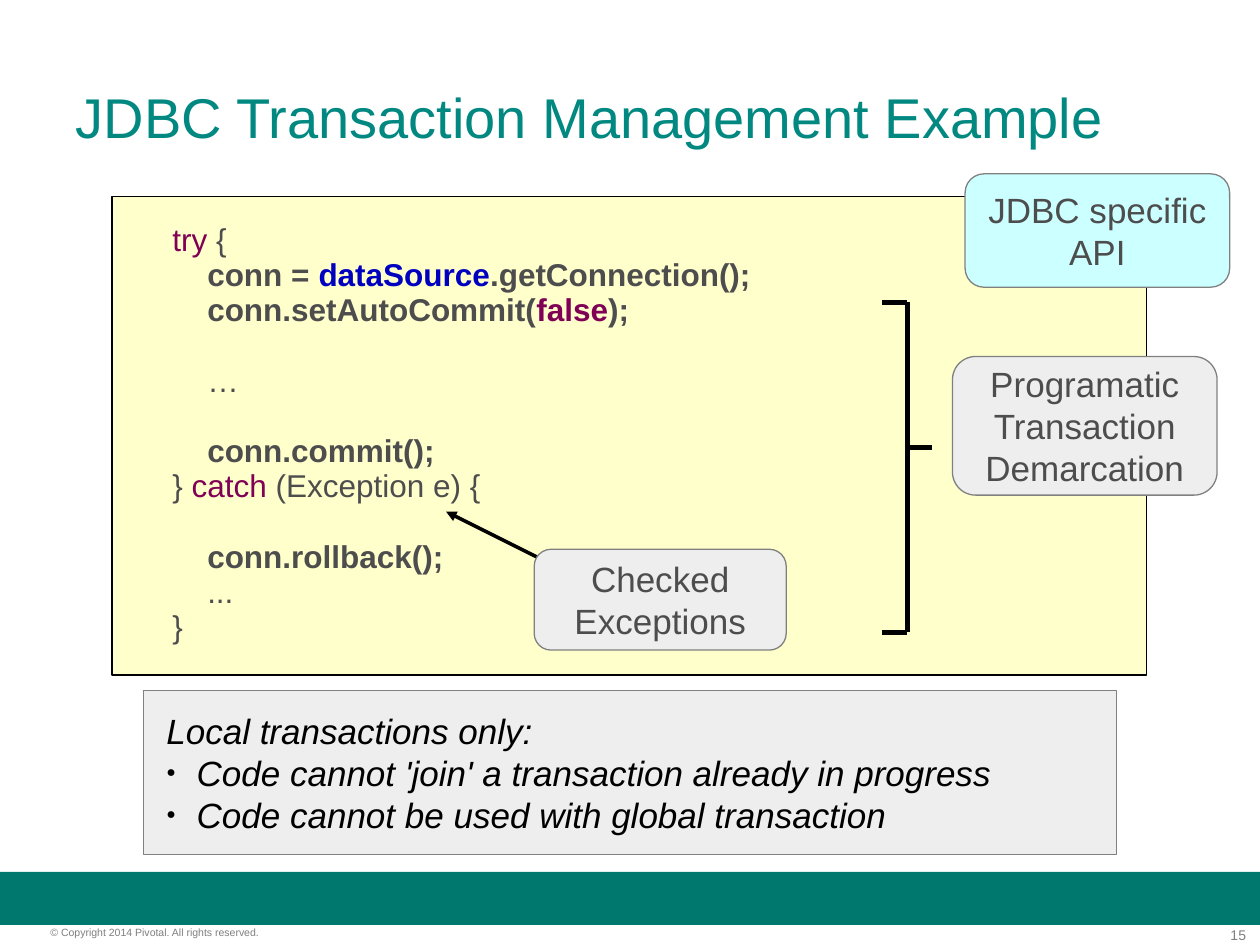
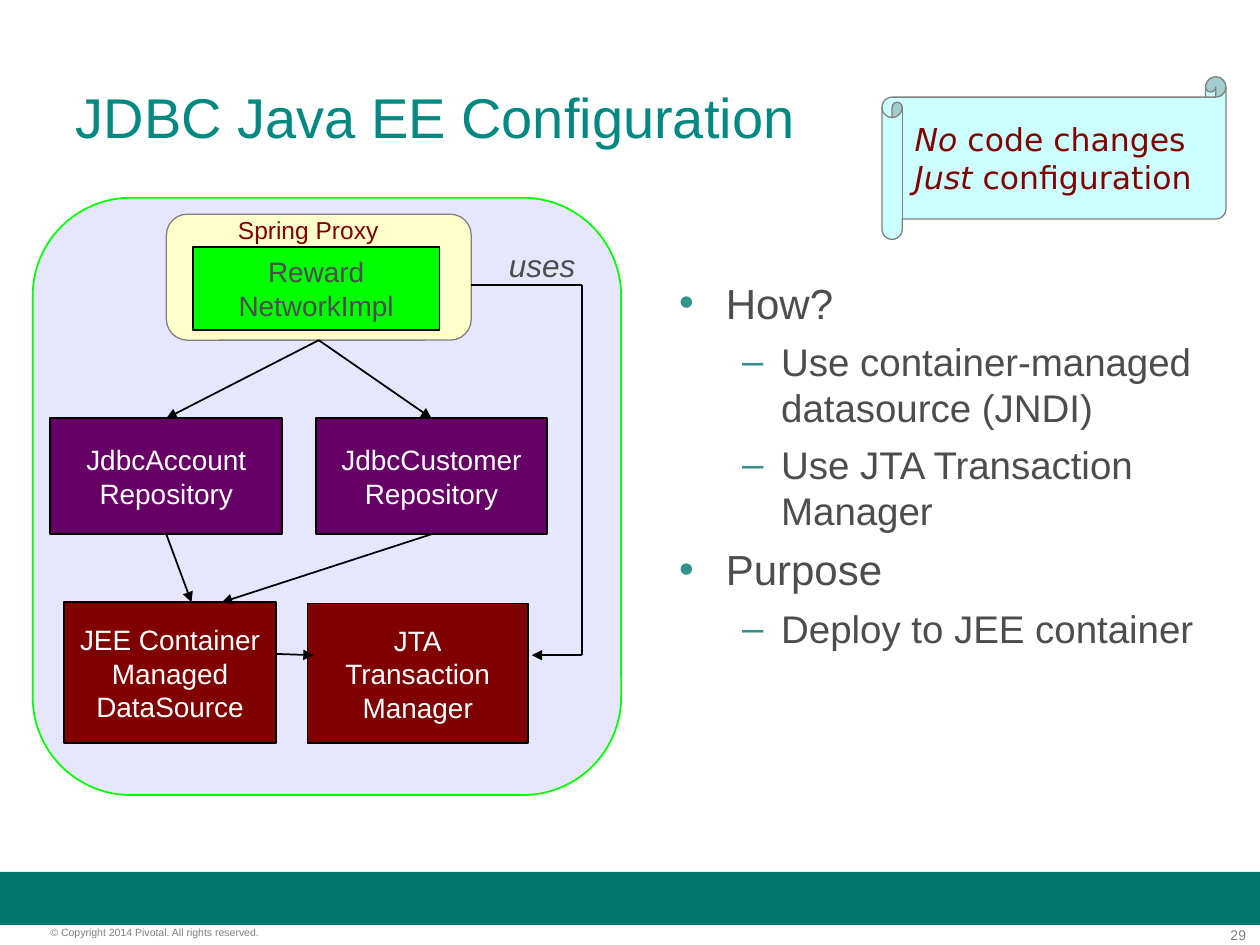
from dataclasses import dataclass, replace

from lxml.etree import SubElement
from pptx import Presentation
from pptx.dml.color import RGBColor
from pptx.enum.shapes import MSO_CONNECTOR, MSO_SHAPE
from pptx.enum.text import MSO_ANCHOR, MSO_AUTO_SIZE, PP_ALIGN
from pptx.oxml.ns import qn
from pptx.util import Emu, Pt

EMU_PER_PX = 9144
TITLE_AND_BODY, TITLE_ONLY = 1, 5
TOP, BOTTOM = 0, 2


@dataclass(frozen=True)
class Theme:
    font: str = "Arial"
    scroll_font: str = "DejaVu Sans"
    title: str = "008881"
    band: str = "00786E"
    bullet: str = "33928A"
    text: str = "4D4D4D"
    muted: str = "7F7F7F"
    black: str = "000000"
    white: str = "FFFFFF"
    outline: str = "808080"
    keyword: str = "7F0055"
    field: str = "0000C0"
    cream: str = "FFFFCC"
    cyan: str = "CCFFFF"
    grey: str = "EEEEEE"
    lavender: str = "E6E6FF"
    green: str = "00FF00"
    purple: str = "660066"
    maroon: str = "800000"
    title_size: int = 32
    body_size: int = 24
    sub_size: int = 22
    callout_size: int = 20
    code_size: int = 18
    box_size: int = 16
    label_size: int = 14
    number_size: int = 8
    copyright_size: int = 6


THEME = Theme()


@dataclass(frozen=True)
class Style:
    size: int
    color: str = THEME.text
    font: str = THEME.font
    bold: bool = False
    italic: bool = False


CALLOUT = Style(THEME.callout_size)
CODE = Style(THEME.code_size)
KEYWORD = replace(CODE, color=THEME.keyword)
STRONG = replace(CODE, bold=True)
NODE = Style(THEME.box_size, THEME.white)


def px(value):
    return Emu(value * EMU_PER_PX)


def place(box, left, top, width, height):
    box.left, box.top, box.width, box.height = map(px, (left, top, width, height))


def add_spans(para, spans):
    for text, style in spans:
        span = para.add_run()
        span.text = text
        span.font.size = Pt(style.size)
        span.font.name = style.font
        span.font.bold = style.bold
        span.font.italic = style.italic
        span.font.color.rgb = RGBColor.from_string(style.color)


def write(box, lines, align=PP_ALIGN.LEFT, anchor=MSO_ANCHOR.MIDDLE, wrap=True, insets=(10, 5, 10, 5)):
    frame = box.text_frame
    frame.auto_size = MSO_AUTO_SIZE.NONE
    frame.word_wrap = wrap
    frame.vertical_anchor = anchor
    frame.margin_left, frame.margin_top, frame.margin_right, frame.margin_bottom = map(px, insets)
    paras = []
    for index, spans in enumerate(lines):
        para = frame.add_paragraph() if index else frame.paragraphs[0]
        para.alignment = align
        para.space_before = Pt(0)
        add_spans(para, spans)
        paras.append(para)
    return paras


def add_bullet(para, mark, color, left, hanging, percent=100):
    props = para._p.get_or_add_pPr()
    props.set("marL", str(px(left)))
    props.set("indent", str(-px(hanging)))
    SubElement(SubElement(props, qn("a:buClr")), qn("a:srgbClr")).set("val", color)
    SubElement(props, qn("a:buSzPct")).set("val", str(percent * 1000))
    SubElement(props, qn("a:buFont")).set("typeface", THEME.font)
    SubElement(props, qn("a:buChar")).set("char", mark)


def add_box(page, kind, bounds, fill, line=THEME.black, weight=1):
    box = page.shapes.add_shape(kind, *map(px, bounds))
    box.shadow.inherit = False
    box.fill.solid()
    box.fill.fore_color.rgb = RGBColor.from_string(fill)
    if line:
        box.line.color.rgb = RGBColor.from_string(line)
        box.line.width = Pt(weight)
    else:
        box.line.fill.background()
    return box


def add_callout(page, bounds, fill, lines, wrap=False):
    box = add_box(page, MSO_SHAPE.ROUNDED_RECTANGLE, bounds, fill, THEME.outline, 0)
    write(box, [[(line, CALLOUT)] for line in lines], PP_ALIGN.CENTER, wrap=wrap)


def add_node(page, bounds, fill, lines, style=NODE):
    box = add_box(page, MSO_SHAPE.RECTANGLE, bounds, fill)
    write(box, [[(line, style)] for line in lines], PP_ALIGN.CENTER)
    return box


def add_label(page, bounds, text, style, align=PP_ALIGN.LEFT, wrap=False, insets=(10, 5, 10, 5)):
    box = page.shapes.add_textbox(*map(px, bounds))
    write(box, [[(text, style)]], align, MSO_ANCHOR.TOP, wrap, insets)


def add_line(page, start, end, weight=1, arrow=False, begin=None, finish=None):
    line = page.shapes.add_connector(MSO_CONNECTOR.STRAIGHT, *map(px, start + end))
    line.line.color.rgb = RGBColor.from_string(THEME.black)
    line.line.width = Pt(weight)
    if arrow:
        SubElement(line.line._get_or_add_ln(), qn("a:tailEnd")).set("type", "triangle")
    SubElement(line._element.spPr, qn("a:effectLst"))
    if begin:
        line.begin_connect(*begin)
    if finish:
        line.end_connect(*finish)


def add_page(deck, layout, title, number):
    page = deck.slides.add_slide(deck.slide_layouts[layout])
    place(page.shapes.title, 50, 30, 900, 125)
    write(page.shapes.title, [[(title, Style(THEME.title_size, THEME.title))]])
    add_box(page, MSO_SHAPE.RECTANGLE, (0, 692, 1000, 42), THEME.band, None)
    flush = (0, 0, 0, 0)
    add_label(page, (931, 735, 58, 13), str(number), Style(THEME.number_size, THEME.muted),
              PP_ALIGN.RIGHT, True, flush)
    add_label(page, (40, 735, 249, 10), "© Copyright 2014 Pivotal. All rights reserved.",
              Style(THEME.copyright_size, THEME.muted), wrap=True, insets=flush)
    return page


def add_code(page):
    panel = add_box(page, MSO_SHAPE.RECTANGLE, (89, 156, 821, 380), THEME.cream)
    lines = [
        [("    try", KEYWORD), (" {", CODE)],
        [("        conn = ", STRONG), ("dataSource", replace(STRONG, color=THEME.field)),
         (".getConnection();", STRONG)],
        [("        conn.setAutoCommit(", STRONG), ("false", replace(KEYWORD, bold=True)), (");", STRONG)],
        [("        …", CODE)],
        [("        conn.commit();", STRONG)],
        [("    } ", CODE), ("catch", KEYWORD), (" (Exception e) {", CODE)],
        [("        conn.rollback();", STRONG)],
        [("        ...", CODE)],
        [("    }", CODE)],
    ]
    after_gap = (3, 4, 6)
    for index, para in enumerate(write(panel, lines, insets=(20, 5, 10, 5))):
        para.line_spacing = 0.8
        if index:
            para.space_before = Pt(23 if index in after_gap else 2.8)


def add_note(page):
    note = add_box(page, MSO_SHAPE.RECTANGLE, (114, 548, 772, 130), THEME.grey, THEME.outline, 0)
    style = replace(CALLOUT, color=THEME.black, italic=True)
    lines = ["Local transactions only:",
             "Code cannot 'join' a transaction already in progress",
             "Code cannot be used with global transaction"]
    paras = write(note, [[(line, style)] for line in lines], insets=(18, 5, 10, 5))
    for para in paras[1:]:
        add_bullet(para, "●", THEME.black, 24, 24, 45)


def add_bracket(page, left, spine, right, top, middle, bottom):
    for start, end in (((left, top), (spine, top)), ((left, bottom), (spine, bottom)),
                       ((spine, top), (spine, bottom)), ((spine, middle), (right, middle))):
        add_line(page, start, end, 2.83)


def build_example(deck):
    page = add_page(deck, TITLE_ONLY, "JDBC Transaction Management Example", 15)
    add_code(page)
    add_callout(page, (766, 138, 210, 90), THEME.cyan, ["JDBC specific API"], wrap=True)
    add_note(page)
    add_line(page, (434, 446), (354, 406), 0, arrow=True)
    add_bracket(page, 700, 720, 740, 240, 355, 502)
    add_callout(page, (424, 436, 200, 80), THEME.grey, ["Checked", "Exceptions"])
    add_callout(page, (756, 283, 210, 110), THEME.grey, ["Programatic", "Transaction", "Demarcation"])


def add_outline(page, items):
    body = page.placeholders[1]
    place(body, 529, 215, 439, 307)
    sizes = (THEME.body_size, THEME.sub_size)
    lines = [[(text, Style(sizes[level]))] for level, text in items]
    for index, para in enumerate(write(body, lines, anchor=MSO_ANCHOR.TOP)):
        level = items[index][0]
        para.level = level
        para.space_before = Pt(6 if index else 0)
        mark, left, hanging = (("•", 37, 37), ("–", 81, 31))[level]
        add_bullet(para, mark, THEME.bullet, left, hanging)


def add_scroll(page):
    scroll = add_box(page, MSO_SHAPE.HORIZONTAL_SCROLL, (700, 61, 273, 129), THEME.cyan, THEME.outline, 0)
    plain = Style(THEME.code_size, THEME.maroon, THEME.scroll_font)
    slanted = replace(plain, italic=True)
    write(scroll, [[("No", slanted), (" code changes", plain)],
                   [("Just", slanted), (" configuration", plain)]], wrap=False)


def add_diagram(page):
    add_box(page, MSO_SHAPE.ROUNDED_RECTANGLE, (26, 157, 467, 474), THEME.lavender, THEME.green)
    proxy = add_box(page, MSO_SHAPE.ROUNDED_RECTANGLE, (132, 170, 242, 100),
                    THEME.cream, THEME.outline, 0)
    add_node(page, (153, 196, 196, 66), THEME.green, ["Reward", "NetworkImpl"], Style(THEME.box_size))
    account = add_node(page, (40, 332, 184, 92), THEME.purple, ["JdbcAccount", "Repository"])
    customer = add_node(page, (251, 332, 183, 92), THEME.purple, ["JdbcCustomer", "Repository"])
    add_node(page, (51, 478, 168, 112), THEME.maroon, ["JEE Container", "Managed DataSource"])
    add_node(page, (244, 479, 175, 111), THEME.maroon, ["JTA", "Transaction", "Manager"])

    for repository, top in ((account, (129, 332)), (customer, (348, 332))):
        add_line(page, (251, 270), top, arrow=True, begin=(proxy, BOTTOM), finish=(repository, TOP))
    add_line(page, (130, 424), (152, 478), arrow=True, begin=(account, BOTTOM))
    add_line(page, (336, 424), (176, 478), arrow=True, begin=(customer, BOTTOM))
    add_line(page, (219, 519), (249, 520), arrow=True)

    route = [(374, 226), (462, 226), (462, 520), (422, 520)]
    for start, end in zip(route, route[1:]):
        add_line(page, start, end, arrow=end == route[-1])
    add_label(page, (179, 166, 147, 36), "Spring Proxy", Style(THEME.label_size, THEME.maroon))
    add_label(page, (394, 190, 73, 40), "uses", replace(CODE, italic=True))


def build_configuration(deck):
    page = add_page(deck, TITLE_AND_BODY, "JDBC Java EE Configuration", 29)
    add_diagram(page)
    add_outline(page, [
        (0, "How?"),
        (1, "Use container-managed datasource (JNDI)"),
        (1, "Use JTA Transaction Manager"),
        (0, "Purpose"),
        (1, "Deploy to JEE container"),
    ])
    add_scroll(page)


def main():
    deck = Presentation()
    deck.slide_width, deck.slide_height = px(1000), px(750)
    build_example(deck)
    build_configuration(deck)
    deck.save("out.pptx")


if __name__ == "__main__":
    main()
